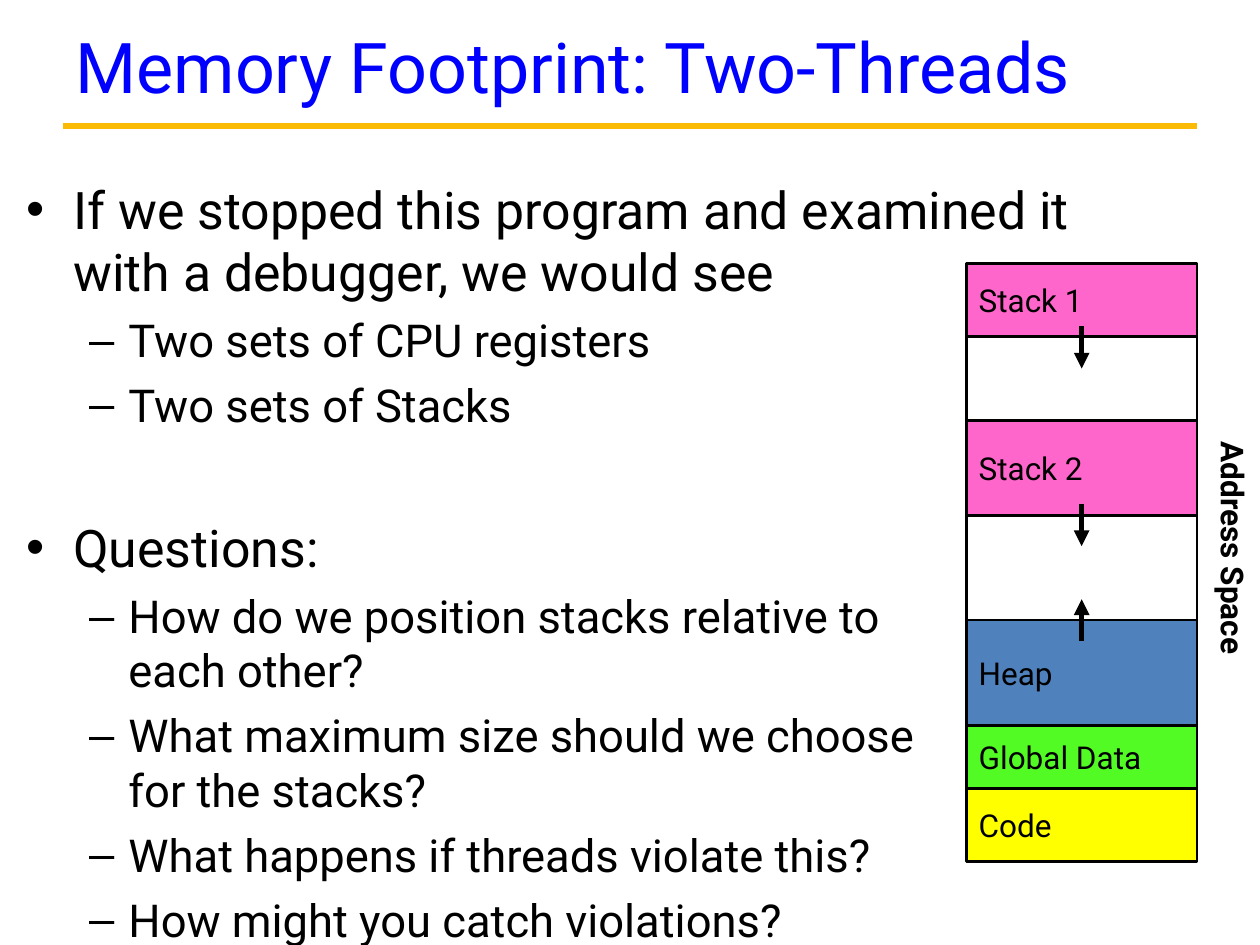
from dataclasses import dataclass

from lxml.etree import SubElement
from pptx import Presentation
from pptx.dml.color import RGBColor as RGB
from pptx.enum.shapes import MSO_CONNECTOR as LINE, MSO_SHAPE as SHAPE
from pptx.enum.text import MSO_ANCHOR as ANCHOR, PP_ALIGN as ALIGN
from pptx.oxml.ns import qn
from pptx.util import Cm, Pt


@dataclass(frozen=True)
class Theme:
    font: str = "Roboto"
    ink: RGB = RGB(0, 0, 0)
    title: RGB = RGB(0, 0, 0xFF)
    rule: RGB = RGB(0xFB, 0xBA, 0x03)
    free: RGB = RGB(0xFF, 0xFF, 0xFF)
    stack: RGB = RGB(0xFF, 0x66, 0xCC)
    heap: RGB = RGB(0x4F, 0x81, 0xBD)
    data: RGB = RGB(0x53, 0xFB, 0x25)
    code: RGB = RGB(0xFF, 0xFF, 0)
    title_size: float = 40
    point_size: float = 29.6
    detail_size: float = 25.9
    label_size: float = 18


theme = Theme()


def format_text(paragraph, size, color=theme.ink, bold=False):
    paragraph.alignment = ALIGN.LEFT
    look = {"name": theme.font, "size": Pt(size), "bold": bold}
    for run in paragraph.runs:
        for attribute, value in look.items():
            setattr(run.font, attribute, value)
        run.font.color.rgb = color


def draw_line(x1, y1, x2, y2, color, width, arrow=False):
    line = slide.shapes.add_connector(LINE.STRAIGHT, Cm(x1), Cm(y1), Cm(x2), Cm(y2))
    line.line.color.rgb = color
    line.line.width = Pt(width)
    if arrow:
        SubElement(line.line._get_or_add_ln(), qn("a:tailEnd"), type="triangle")
    SubElement(line._element.spPr, qn("a:effectLst"))


deck = Presentation()
deck.slide_width, deck.slide_height = Cm(25.4), Cm(19.05)
slide = deck.slides.add_slide(deck.slide_layouts[5])

# Title and rule
draw_line(1.27, 2.54, 24.13, 2.54, theme.rule, 3.75)
title = slide.shapes.title
title_box = {"left": Cm(1.27), "top": Cm(0.1), "width": Cm(22.86), "height": Cm(2.44)}
for attribute, value in title_box.items():
    setattr(title, attribute, value)
title.text_frame.text = "Memory Footprint: Two-Threads"
title.text_frame.vertical_anchor = ANCHOR.MIDDLE
format_text(title.text_frame.paragraphs[0], theme.title_size, theme.title)

# Points: level, space before, text
points = [
    (0, 3, "If we stopped this program and examined it with a debugger, we would see"),
    (1, 6, "Two sets of CPU registers"),
    (1, 6, "Two sets of Stacks"),
    (0, 48, "Questions:"),
    (1, 6, "How do we position stacks relative to \veach other?"),
    (1, 6, "What maximum size should we choose\vfor the stacks?"),
    (1, 6, "What happens if threads violate this?"),
    (1, 6, "How might you catch violations?"),
]
levels = [
    {"size": theme.point_size, "bullet": "•", "margin": 0.95, "hang": 0.95},
    {"size": theme.detail_size, "bullet": "–", "margin": 2.06, "hang": 0.79},
]
body = slide.shapes.add_textbox(Cm(0.28), Cm(3.45), Cm(22.66), Cm(14.17)).text_frame
body.word_wrap = True
for index, (level, space, text) in enumerate(points):
    point = body.add_paragraph() if index else body.paragraphs[0]
    point.text = text
    point.level = level
    point.space_before = Pt(space)
    rule = levels[level]
    format_text(point, rule["size"])
    properties = point._p.get_or_add_pPr()
    properties.set("marL", str(Cm(rule["margin"])))
    properties.set("indent", str(-Cm(rule["hang"])))
    SubElement(properties, qn("a:buFont"), typeface="Arial")
    SubElement(properties, qn("a:buChar"), char=rule["bullet"])

# Address space, from top to bottom: label, height, fill
segments = [
    ("Stack 1", 1.48, theme.stack),
    ("", 1.69, theme.free),
    ("Stack 2", 1.91, theme.stack),
    ("", 2.11, theme.free),
    ("Heap", 2.12, theme.heap),
    ("Global Data", 1.27, theme.data),
    ("Code", 1.48, theme.code),
]
memory_left, memory_width, segment_top = 19.48, 4.65, 5.31
for label, height, fill in segments:
    segment = slide.shapes.add_shape(
        SHAPE.RECTANGLE, Cm(memory_left), Cm(segment_top), Cm(memory_width), Cm(height))
    segment.shadow.inherit = False
    segment.fill.solid()
    segment.fill.fore_color.rgb = fill
    segment.line.color.rgb = theme.ink
    segment.line.width = Pt(1.5)
    if label:
        segment.text_frame.text = label
        segment.text_frame.word_wrap = True
        segment.text_frame.vertical_anchor = ANCHOR.MIDDLE
        format_text(segment.text_frame.paragraphs[0], theme.label_size)
    segment_top += height

# Growth directions of both stacks and the heap
middle = memory_left + memory_width / 2
for start, growth in [(6.58, 0.85), (10.16, 0.85), (12.93, -0.85)]:
    draw_line(middle, start, middle, start + growth, theme.ink, 3, arrow=True)

# Side label
side = slide.shapes.add_textbox(Cm(22.28), Cm(10.72), Cm(5.16), Cm(1.02))
side.rotation = 90
side.text_frame.word_wrap = True
side.text_frame.text = "Address Space"
format_text(side.text_frame.paragraphs[0], theme.label_size, bold=True)

deck.save("out.pptx")
